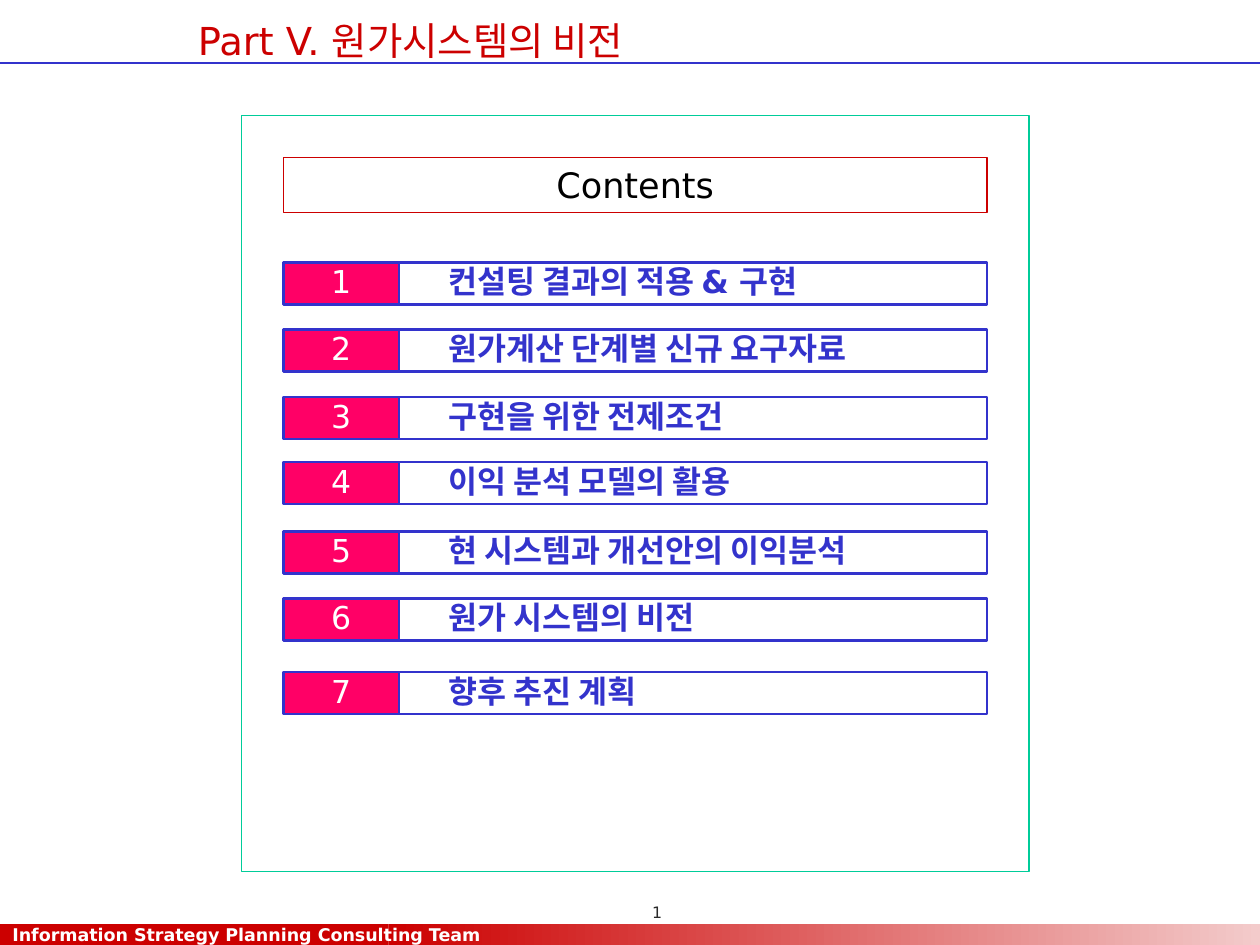
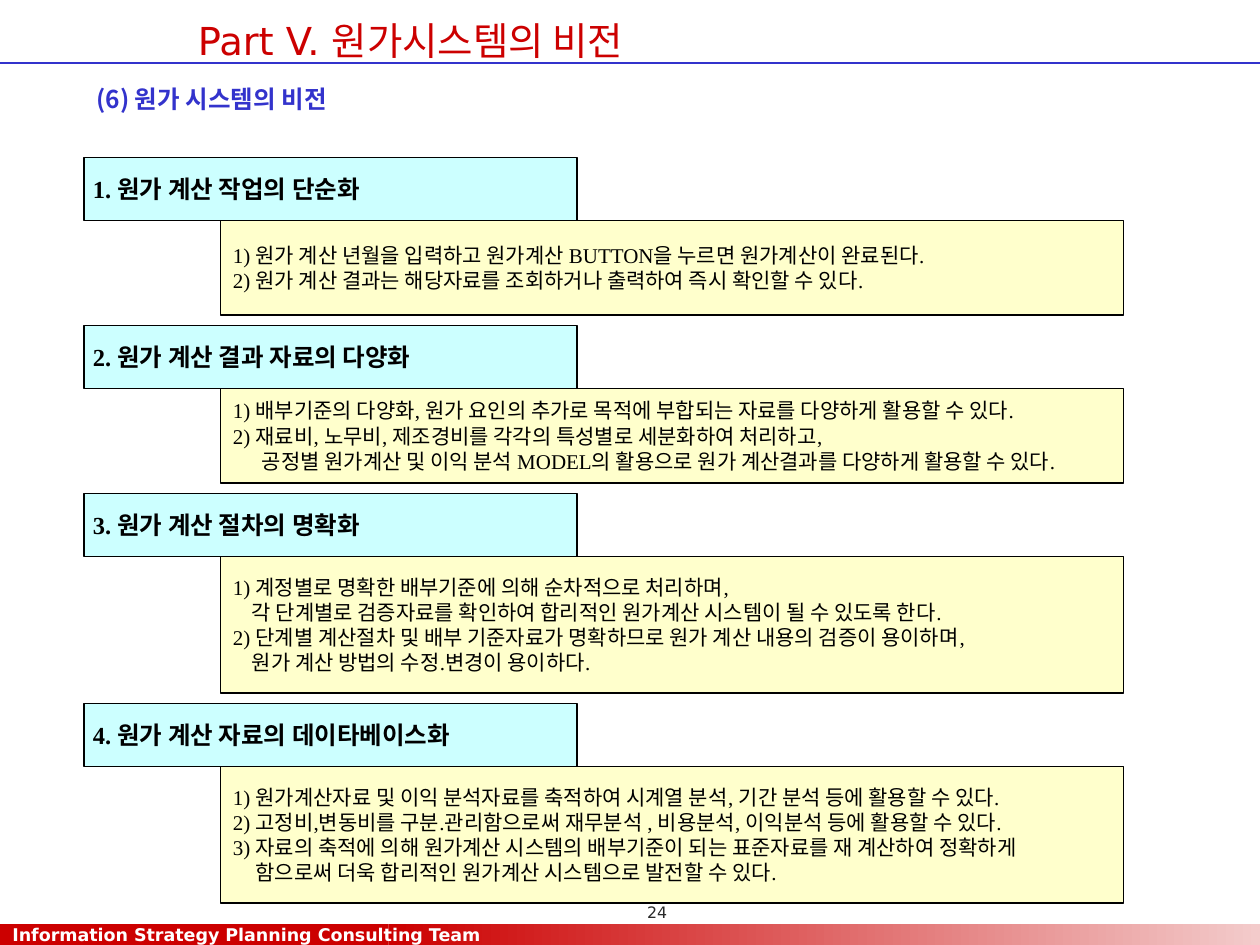
from dataclasses import dataclass
from lxml import etree
from pptx import Presentation
from pptx.dml.color import RGBColor
from pptx.enum.shapes import MSO_CONNECTOR, MSO_SHAPE
from pptx.enum.text import MSO_ANCHOR, PP_ALIGN
from pptx.oxml.ns import qn
from pptx.util import Inches, Pt

RECT, LINE = MSO_SHAPE.RECTANGLE, MSO_CONNECTOR.STRAIGHT
TOP, MID = MSO_ANCHOR.TOP, MSO_ANCHOR.MIDDLE
LEFT, MIDST = PP_ALIGN.LEFT, PP_ALIGN.CENTER
WIDE, HIGH, COLS = 10, 7.5, 120


@dataclass(frozen=True)
class Theme:
    red: str = "CC0000"
    blush: str = "F3CBCB"
    blue: str = "3333CC"
    pink: str = "FF0066"
    green: str = "00CC99"
    aqua: str = "CCFFFF"
    cream: str = "FFFFCC"
    white: str = "FFFFFF"
    black: str = "000000"
    gray: str = "292929"
    sans: str = "DejaVu Sans"
    serif: str = "Times New Roman"
    hangul: str = "Noto Sans CJK KR"
    title: int = 22
    label: int = 20
    item: int = 18
    head: int = 14
    body: int = 12
    foot: int = 10
    page: int = 9


T = Theme()

ITEMS = [
    (25, "컨설팅 결과의 적용 & 구현"),
    (31.4, "원가계산 단계별 신규 요구자료"),
    (37.8, "구현을 위한 전제조건"),
    (44, "이익 분석 모델의 활용"),
    (50.6, "현 시스템과 개선안의 이익분석"),
    (57, "원가 시스템의 비전"),
    (64, "향후 추진 계획"),
]

GOALS = [
    ("1. 원가 계산 작업의 단순화", 9, [
        (0, "1) 원가 계산 년월을 입력하고 원가계산 BUTTON을 누르면 원가계산이 완료된다."),
        (0, "2) 원가 계산 결과는 해당자료를 조회하거나 출력하여 즉시 확인할 수 있다."),
    ]),
    ("2. 원가 계산 결과 자료의 다양화", 9, [
        (0, "1) 배부기준의 다양화, 원가 요인의 추가로 목적에 부합되는 자료를 다양하게 활용할 수 있다."),
        (0, "2) 재료비, 노무비, 제조경비를 각각의 특성별로 세분화하여 처리하고,"),
        (0.23, "공정별 원가계산 및 이익 분석 MODEL의 활용으로 원가 계산결과를 다양하게 활용할 수 있다."),
    ]),
    ("3. 원가 계산 절차의 명확화", 13, [
        (0, "1) 계정별로 명확한 배부기준에 의해 순차적으로 처리하며,"),
        (0.15, "각 단계별로 검증자료를 확인하여 합리적인 원가계산 시스템이 될 수 있도록 한다."),
        (0, "2) 단계별 계산절차 및 배부 기준자료가 명확하므로 원가 계산 내용의 검증이 용이하며,"),
        (0.15, "원가 계산 방법의 수정.변경이 용이하다."),
    ]),
    ("4. 원가 계산 자료의 데이타베이스화", 13, [
        (0, "1) 원가계산자료 및 이익 분석자료를 축적하여 시계열 분석, 기간 분석 등에 활용할 수 있다."),
        (0, "2) 고정비,변동비를 구분.관리함으로써 재무분석 , 비용분석, 이익분석 등에 활용할 수 있다."),
        (0, "3) 자료의 축적에 의해 원가계산 시스템의 배부기준이 되는 표준자료를 재 계산하여 정확하게"),
        (0.18, "함으로써 더욱 합리적인 원가계산 시스템으로 발전할 수 있다."),
    ]),
]


def grid(*cells):
    return [Inches(cell * WIDE / COLS) for cell in cells]


def write(shape, lines, size, color, face=T.sans, bold=False, align=LEFT,
          anchor=MID, inset=0.1, right=0.1, lead=None, wrap=False):
    frame = shape.text_frame
    frame.word_wrap = wrap
    frame.vertical_anchor = anchor
    frame.margin_left, frame.margin_right = Inches(inset), Inches(right)
    frame.margin_top = frame.margin_bottom = Inches(0.05)
    for num, (indent, text) in enumerate(lines):
        para = frame.paragraphs[0] if num == 0 else frame.add_paragraph()
        para.text = text
        para.alignment = align
        if lead:
            para.line_spacing = lead
        font = para.font
        font.name, font.size, font.bold = face, Pt(size), bold
        font.color.rgb = RGBColor.from_string(color)
        props = para._p.pPr
        if indent:
            props.set("marL", str(Inches(indent)))
        props.find(qn("a:defRPr")).find(qn("a:latin")).addnext(
            etree.Element(qn("a:ea"), typeface=T.hangul))


def panel(slide, cells, fill=None, edge=None, width=0.75):
    shape = slide.shapes.add_shape(RECT, *grid(*cells))
    shape.shadow.inherit = False
    if fill:
        shape.fill.solid()
        shape.fill.fore_color.rgb = RGBColor.from_string(fill)
    else:
        shape.fill.background()
    if edge:
        shape.line.color.rgb = RGBColor.from_string(edge)
        shape.line.width = Pt(width)
    else:
        shape.line.fill.background()
    return shape


def label(slide, cells, text, size, color, **style):
    box = slide.shapes.add_textbox(*grid(*cells))
    write(box, [(0, text)], size, color, anchor=TOP, **style)


def band(slide):
    fade = panel(slide, (37, 88, 83, 2))
    fade.fill.gradient()
    fade.fill.gradient_angle = 0
    for stop, color in zip(fade.fill.gradient_stops, (T.red, T.blush)):
        stop.color.rgb = RGBColor.from_string(color)
    team = panel(slide, (0, 88, 37, 2), T.red)
    write(team, [(0, "Information Strategy Planning Consulting Team")],
          T.foot, T.white, bold=True)


def start(deck):
    slide = deck.slides.add_slide(deck.slide_layouts[6])
    band(slide)
    rule = slide.shapes.add_connector(LINE, *grid(0, 6, COLS, 6))
    rule.line.color.rgb = RGBColor.from_string(T.blue)
    rule.line.width = Pt(0.75)
    etree.SubElement(rule._element.spPr, qn("a:effectLst"))
    label(slide, (16.3, 1, 45.6, 5.6), "Part V. 원가시스템의 비전",
          T.title, T.red, align=MIDST)
    return slide


def number(slide, page):
    label(slide, (53, 85.4, 18, 3), page, T.page, T.gray,
          align=MIDST, right=0, wrap=True)


def entry(slide, top, num, text):
    name = panel(slide, (38, top, 56, 4), T.white, T.blue, 1.5)
    write(name, [(0, text)], T.item, T.blue, bold=True, inset=0.39, lead=0.9)
    tag = panel(slide, (27, top, 11, 4), T.pink, T.blue, 1.5)
    write(tag, [(0, str(num))], T.item, T.white, align=MIDST, lead=0.9)


def goal(slide, top, head, rows, lines):
    bar = panel(slide, (8, top, 47, 6), T.aqua, T.black, 1)
    write(bar, [(0, head)], T.head, T.black, T.serif, bold=True, inset=0.07)
    body = panel(slide, (21, top + 6, 86, rows), T.cream, T.black, 1)
    write(body, lines, T.body, T.black, T.serif)


def contents(deck):
    slide = start(deck)
    panel(slide, (23, 11, 75, 72), edge=T.green)
    head = panel(slide, (27, 15, 67, 5.25), edge=T.red)
    write(head, [(0, "Contents")], T.label, T.black, align=MIDST, anchor=TOP)
    for num, (top, text) in enumerate(ITEMS, 1):
        entry(slide, top, num, text)
    number(slide, "1")


def vision(deck):
    slide = start(deck)
    label(slide, (8, 7.4, 55, 4), "(6) 원가 시스템의 비전", T.head, T.blue,
          face=T.hangul, bold=True, wrap=True)
    top = 15
    for head, rows, lines in GOALS:
        goal(slide, top, head, rows, lines)
        top += rows + 7
    number(slide, "24")


def main():
    deck = Presentation()
    deck.slide_width, deck.slide_height = Inches(WIDE), Inches(HIGH)
    contents(deck)
    vision(deck)
    deck.save("out.pptx")


if __name__ == "__main__":
    main()
